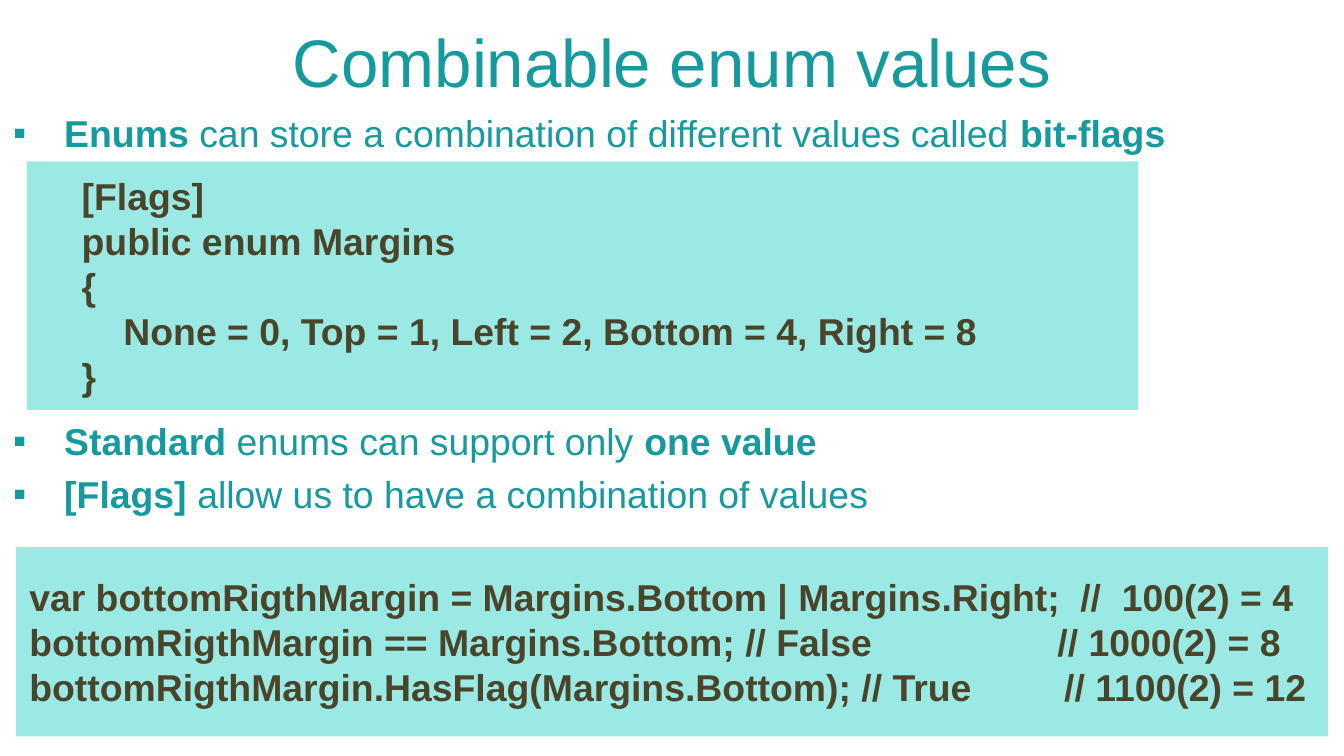
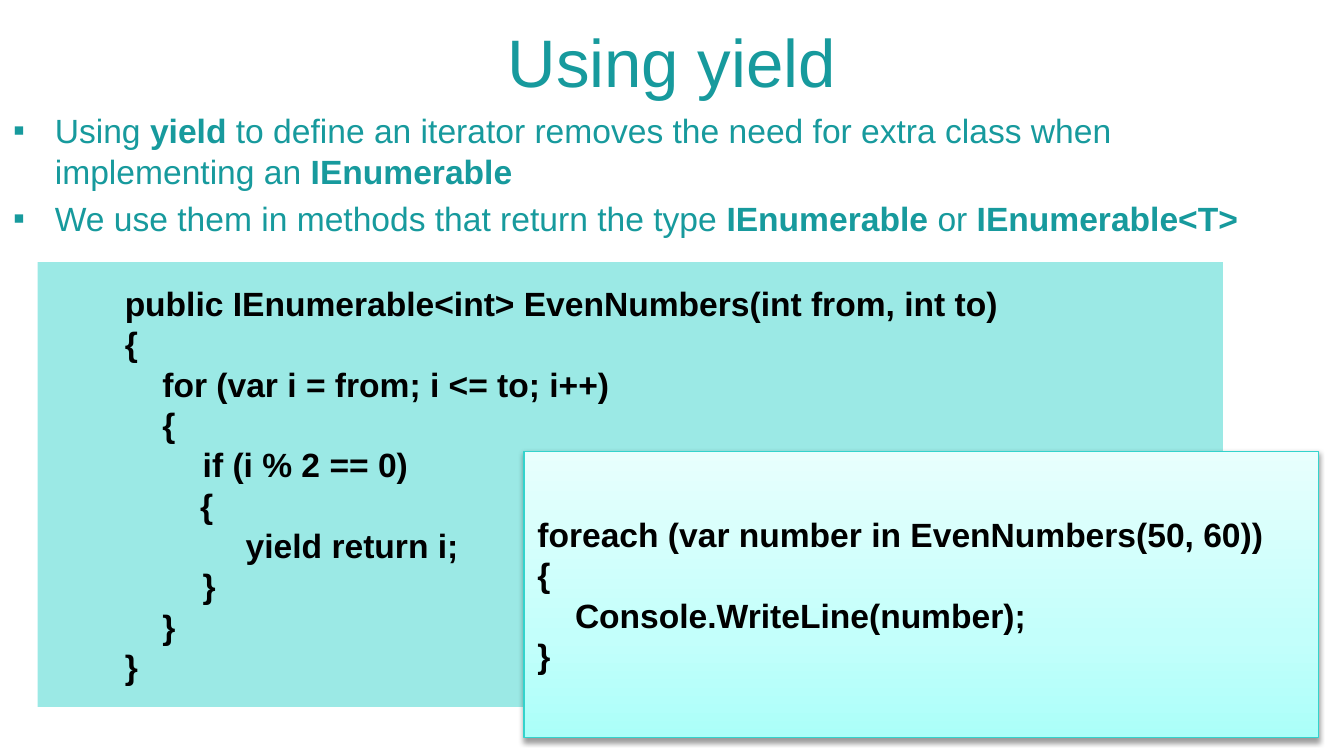
"""Build two slides on combinable enum values and the yield keyword."""
from dataclasses import dataclass

from pptx import Presentation
from pptx.dml.color import RGBColor
from pptx.enum.shapes import MSO_SHAPE
from pptx.enum.text import MSO_ANCHOR, PP_ALIGN
from pptx.oxml import parse_xml
from pptx.oxml.ns import nsdecls, qn
from pptx.util import Inches, Pt

RECTANGLE = MSO_SHAPE.RECTANGLE
MIDDLE = MSO_ANCHOR.MIDDLE
CENTER, LEFT = PP_ALIGN.CENTER, PP_ALIGN.LEFT


@dataclass(frozen=True)
class Theme:
    font: str = "Arial"
    teal: str = "179A9D"
    panel: str = "38D4CD"
    brown: str = "4A452A"
    black: str = "000000"
    callout_line: str = "33D3CC"
    callout_stops: tuple = ((0, "ABFFF9"), (35, "C3FFFB"), (100, "E8FFFD"))
    title_size: int = 36
    enum_size: int = 20
    yield_size: int = 18


THEME = Theme()


def style_run(run, size, color, bold):
    run.font.name = THEME.font
    run.font.size = Pt(size)
    run.font.bold = bold
    run.font.color.rgb = RGBColor.from_string(color)


def add_code(slide, area, size, color, lines):
    panel = slide.shapes.add_shape(RECTANGLE, *map(Inches, area))
    panel.shadow.inherit = False
    panel.line.fill.background()
    panel.fill.solid()
    panel.fill.fore_color.rgb = RGBColor.from_string(THEME.panel)
    tint = panel.fill._xPr.find(qn("a:solidFill"))[0]
    tint.append(parse_xml(f'<a:alpha {nsdecls("a")} val="50000"/>'))
    frame = panel.text_frame
    frame.word_wrap = True
    frame.vertical_anchor = MIDDLE
    frame.text = "\n".join(code for code, offset in lines)
    for paragraph, (code, offset) in zip(frame.paragraphs, lines):
        paragraph.alignment = LEFT
        properties = paragraph._p.get_or_add_pPr()
        if "\t" in code:
            properties.append(parse_xml(
                f'<a:tabLst {nsdecls("a")}><a:tab pos="{Inches(offset)}" algn="l"/></a:tabLst>'))
        else:
            properties.set("marL", str(Inches(offset)))
        style_run(paragraph.runs[0], size, color, True)
    return panel


deck = Presentation()
deck.slide_width = Inches(10)
deck.slide_height = deck.slide_width * 9 // 16

topics = [
    ("Combinable enum values", THEME.enum_size, 4.86, 0.38, 0.1, [
        ("*Enums* can store a combination of different values called *bit-flags*", 3.6),
        ("*Standard *enums can support only *one value*", 141.3),
        ("*[Flags] *allow us to have a combination of values", 4.1),
    ]),
    ("Using yield", THEME.yield_size, 4.49, 0.31, 0.6, [
        ("Using *yield* to define an iterator removes the need for extra class when "
         "implementing an *IEnumerable*", 3.6),
        ("We use them in methods that return the type *IEnumerable* or *IEnumerable<T>*", 3.6),
    ]),
]

slides = []
for heading, size, height, indent, right_margin, points in topics:
    slide = deck.slides.add_slide(deck.slide_layouts[6])
    slides.append(slide)

    title = slide.shapes.add_textbox(0, Inches(0.14), deck.slide_width, Inches(0.63)).text_frame
    title.word_wrap = True
    title.vertical_anchor = MIDDLE
    title.text = heading
    title.paragraphs[0].alignment = CENTER
    title.paragraphs[0].space_before = Pt(7.2)
    style_run(title.paragraphs[0].runs[0], THEME.title_size, THEME.teal, False)

    body = slide.shapes.add_textbox(0, Inches(0.77), deck.slide_width, Inches(height)).text_frame
    body.word_wrap = True
    body.margin_right = Inches(right_margin)
    for number, (point, gap) in enumerate(points):
        paragraph = body.add_paragraph() if number else body.paragraphs[0]
        paragraph.space_before = Pt(gap)
        properties = paragraph._p.get_or_add_pPr()
        properties.set("marL", str(Inches(indent)))
        properties.set("indent", str(-Inches(indent)))
        properties.append(parse_xml(f'<a:buFont {nsdecls("a")} typeface="{THEME.font}"/>'))
        properties.append(parse_xml(f'<a:buChar {nsdecls("a")} char="▪"/>'))
        for position, phrase in enumerate(point.split("*")):
            if phrase:
                run = paragraph.add_run()
                run.text = phrase
                style_run(run, size, THEME.teal, position % 2 == 1)

enum_slide, yield_slide = slides

add_code(enum_slide, (0.2, 1.2, 8.27, 1.85), THEME.enum_size, THEME.brown, [
    ("[Flags]", 0.31),
    ("public enum Margins", 0.31),
    ("{", 0.31),
    ("None = 0, Top = 1, Left = 2, Bottom = 4, Right = 8", 0.62),
    ("}", 0.31),
])
add_code(enum_slide, (0.12, 4.07, 9.76, 1.41), THEME.enum_size, THEME.brown, [
    ("var bottomRigthMargin = Margins.Bottom | Margins.Right;\t//  100(2) = 4", 7.82),
    ("bottomRigthMargin == Margins.Bottom; // False\t// 1000(2) = 8", 7.65),
    ("bottomRigthMargin.HasFlag(Margins.Bottom); // True\t// 1100(2) = 12", 7.7),
])

add_code(yield_slide, (0.28, 1.95, 8.82, 3.31), THEME.yield_size, THEME.black, [
    ("public IEnumerable<int> EvenNumbers(int from, int to)", 0.55),
    ("{", 0.55),
    ("for (var i = from; i <= to; i++)", 0.83),
    ("{", 0.83),
    ("if (i % 2 == 0)", 1.13),
    ("{", 1.11),
    ("yield return i;", 1.45),
    ("}", 1.13),
    ("}", 0.83),
    ("}", 0.55),
])
callout = add_code(yield_slide, (3.9, 3.36, 5.91, 2.13), THEME.yield_size, THEME.black, [
    ("foreach (var number in EvenNumbers(50, 60))", 0),
    ("{", 0),
    ("Console.WriteLine(number);", 0.28),
    ("}", 0),
])
callout.line.color.rgb = RGBColor.from_string(THEME.callout_line)
callout.line.width = Pt(0.75)
stops = "".join(f'<a:gs pos="{place * 1000}"><a:srgbClr val="{color}"/></a:gs>'
                for place, color in THEME.callout_stops)
flat_fill = callout._element.spPr.find(qn("a:solidFill"))
callout._element.spPr.replace(flat_fill, parse_xml(
    f'<a:gradFill {nsdecls("a")} rotWithShape="1"><a:gsLst>{stops}</a:gsLst>'
    '<a:lin ang="16200000" scaled="0"/></a:gradFill>'))
callout._element.spPr.find(qn("a:effectLst")).append(parse_xml(
    f'<a:outerShdw {nsdecls("a")} blurRad="{Pt(3.1)}" dist="{Pt(1.6)}" dir="5400000" rotWithShape="0">'
    f'<a:srgbClr val="{THEME.black}"><a:alpha val="38000"/></a:srgbClr></a:outerShdw>'))

deck.save("out.pptx")
